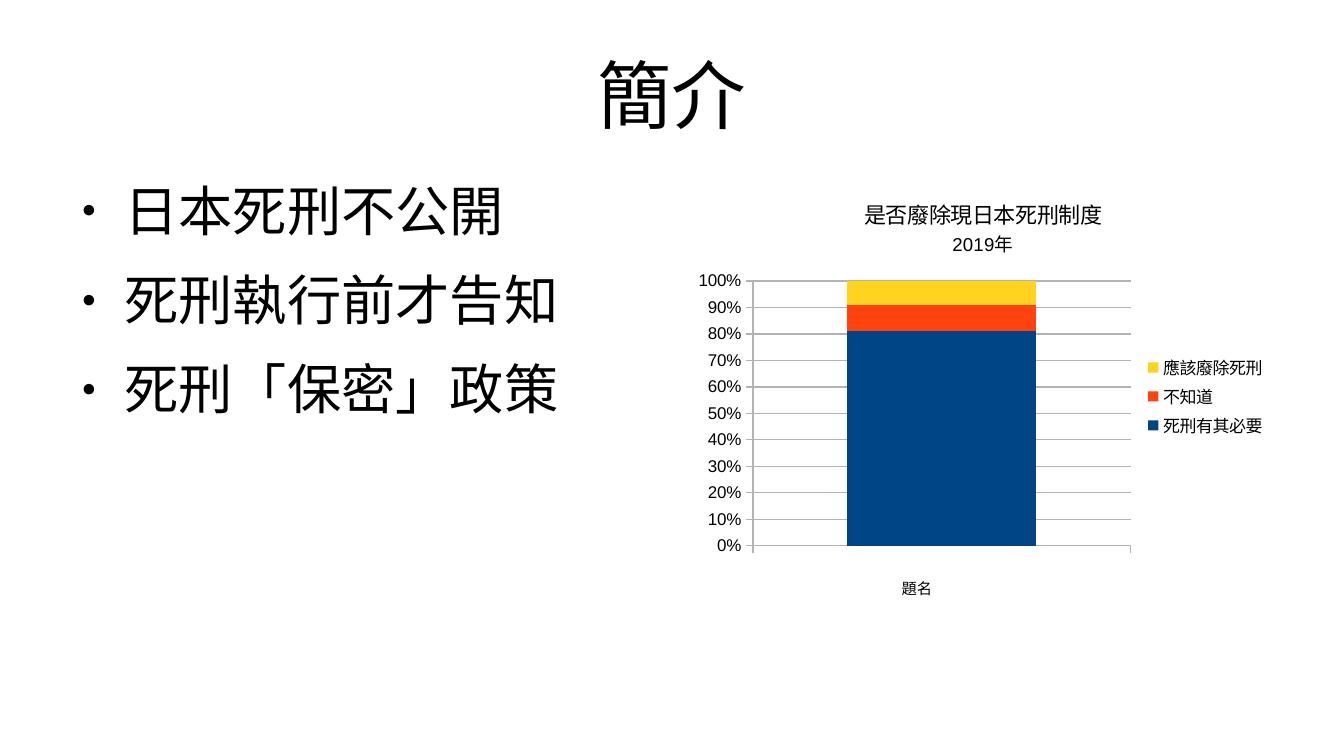
from lxml import etree
from pptx import Presentation
from pptx.chart.data import CategoryChartData
from pptx.dml.color import RGBColor
from pptx.enum.chart import XL_CHART_TYPE as ChartType
from pptx.enum.chart import XL_LEGEND_POSITION as LegendPos
from pptx.enum.chart import XL_TICK_LABEL_POSITION as LabelPos
from pptx.enum.chart import XL_TICK_MARK as TickMark
from pptx.enum.text import MSO_ANCHOR as Anchor
from pptx.enum.text import MSO_AUTO_SIZE as AutoSize
from pptx.enum.text import PP_ALIGN as Align
from pptx.oxml import parse_xml
from pptx.oxml.ns import nsdecls, qn
from pptx.util import Inches, Pt

BLACK = RGBColor(0x00, 0x00, 0x00)
GRAY = RGBColor(0xB3, 0xB3, 0xB3)
BLUE = RGBColor(0x00, 0x45, 0x86)
RED = RGBColor(0xFF, 0x42, 0x0E)
YELLOW = RGBColor(0xFF, 0xD3, 0x20)
FONT = "Arial"

# Content
TITLE = "簡介"
POINTS = ["日本死刑不公開", "死刑執行前才告知", "死刑「保密」政策"]
CHART_TITLE = [("是否廢除現日本死刑制度", 13), ("2019年", 11)]
AXIS_TITLE = [("題名", 9)]
SERIES = [("死刑有其必要", 81, BLUE), ("不知道", 10, RED), ("應該廢除死刑", 9, YELLOW)]

# Places in px: left, top, width, height
SLIDE = (1344, 756)
TITLE_BOX = (67, 30, 1210, 127)
BODY_BOX = (67, 177, 590, 439)
CHART_BOX = (688, 177, 590, 439)
PLOT_BOX = (753, 281, 378, 265)
AXIS_TITLE_AT = (899, 572)


def px(n):
    return round(n * Inches(1) / 122)


def set_font(font, size):
    font.name, font.size, font.bold = FONT, Pt(size), False
    font.color.rgb = BLACK


def place(sp, box, anchor):
    sp.left, sp.top, sp.width, sp.height = map(px, box)
    tf = sp.text_frame
    tf.margin_left = tf.margin_top = tf.margin_right = tf.margin_bottom = 0
    tf.word_wrap, tf.auto_size, tf.vertical_anchor = True, AutoSize.NONE, anchor
    return tf


def write_title(tf, lines):
    for i, (text, size) in enumerate(lines):
        p = tf.add_paragraph() if i else tf.paragraphs[0]
        p.text = text
        set_font(p.font, size)


def set_layout(parent, index, box, target=None):
    """Pin a chart part to a px box, as fractions of the chart."""
    for old in parent.findall(qn("c:layout")):
        parent.remove(old)
    layout = parse_xml(f"<c:layout {nsdecls('c')}><c:manualLayout/></c:layout>")
    left, top, width, height = CHART_BOX
    values = [("xMode", "edge"), ("yMode", "edge"),
              ("x", (box[0] - left) / width), ("y", (box[1] - top) / height)]
    if target:
        values.insert(0, ("layoutTarget", target))
        values += [("w", box[2] / width), ("h", box[3] / height)]
    for tag, value in values:
        etree.SubElement(layout[0], qn(f"c:{tag}")).set("val", str(value))
    parent.insert(index, layout)


prs = Presentation()
prs.slide_width, prs.slide_height = map(px, SLIDE)
s = prs.slides.add_slide(prs.slide_layouts[1])
title, body = s.placeholders

# Title
tf = place(title, TITLE_BOX, Anchor.MIDDLE)
write_title(tf, [(TITLE, 44)])
tf.paragraphs[0].alignment = Align.CENTER

# Bullet list
tf = place(body, BODY_BOX, Anchor.TOP)
for i, text in enumerate(POINTS):
    p = tf.add_paragraph() if i else tf.paragraphs[0]
    p.text = text
    p.space_before = Pt(14.2)
    set_font(p.font, 32)
    pPr = p._p.get_or_add_pPr()
    pPr.set("marL", str(Inches(0.47)))
    pPr.set("indent", str(Inches(-0.35)))
    bullet = [f"<a:buClr {nsdecls('a')}><a:srgbClr val='{BLACK}'/></a:buClr>",
              f"<a:buSzPct {nsdecls('a')} val='45000'/>",
              f"<a:buChar {nsdecls('a')} char='●'/>"]
    for k, xml in enumerate(bullet):
        pPr.insert(1 + k, parse_xml(xml))

# Chart
data = CategoryChartData()
data.categories = ["1"]
for name, value, _ in SERIES:
    data.add_series(name, [value])
chart = s.shapes.add_chart(ChartType.COLUMN_STACKED_100, *map(px, CHART_BOX), data).chart
set_font(chart.font, 10)
write_title(chart.chart_title.text_frame, CHART_TITLE)
plot = chart.plots[0]
plot.gap_width, plot.overlap, plot.vary_by_categories = 100, 100, False
for series, (_, _, color) in zip(plot.series, SERIES):
    series.format.fill.solid()
    series.format.fill.fore_color.rgb = color
set_layout(chart._chartSpace.chart.plotArea, 0, PLOT_BOX, "inner")

# Axes
cat, val = chart.category_axis, chart.value_axis
val.has_major_gridlines = True
for axis in (cat, val):
    axis.major_tick_mark, axis.minor_tick_mark = TickMark.OUTSIDE, TickMark.NONE
    set_font(axis.tick_labels.font, 10)
for part in (cat, val, val.major_gridlines):
    part.format.line.color.rgb = GRAY
    part.format.line.width = 0
cat.tick_label_position = LabelPos.NONE
write_title(cat.axis_title.text_frame, AXIS_TITLE)
set_layout(cat.axis_title._element, 1, AXIS_TITLE_AT)
val.major_unit = 0.1
val.tick_labels.number_format, val.tick_labels.number_format_is_linked = "0%", False

# Legend
chart.has_legend = True
chart.legend.position, chart.legend.include_in_layout = LegendPos.RIGHT, False
set_font(chart.legend.font, 10)

prs.save("out.pptx")
